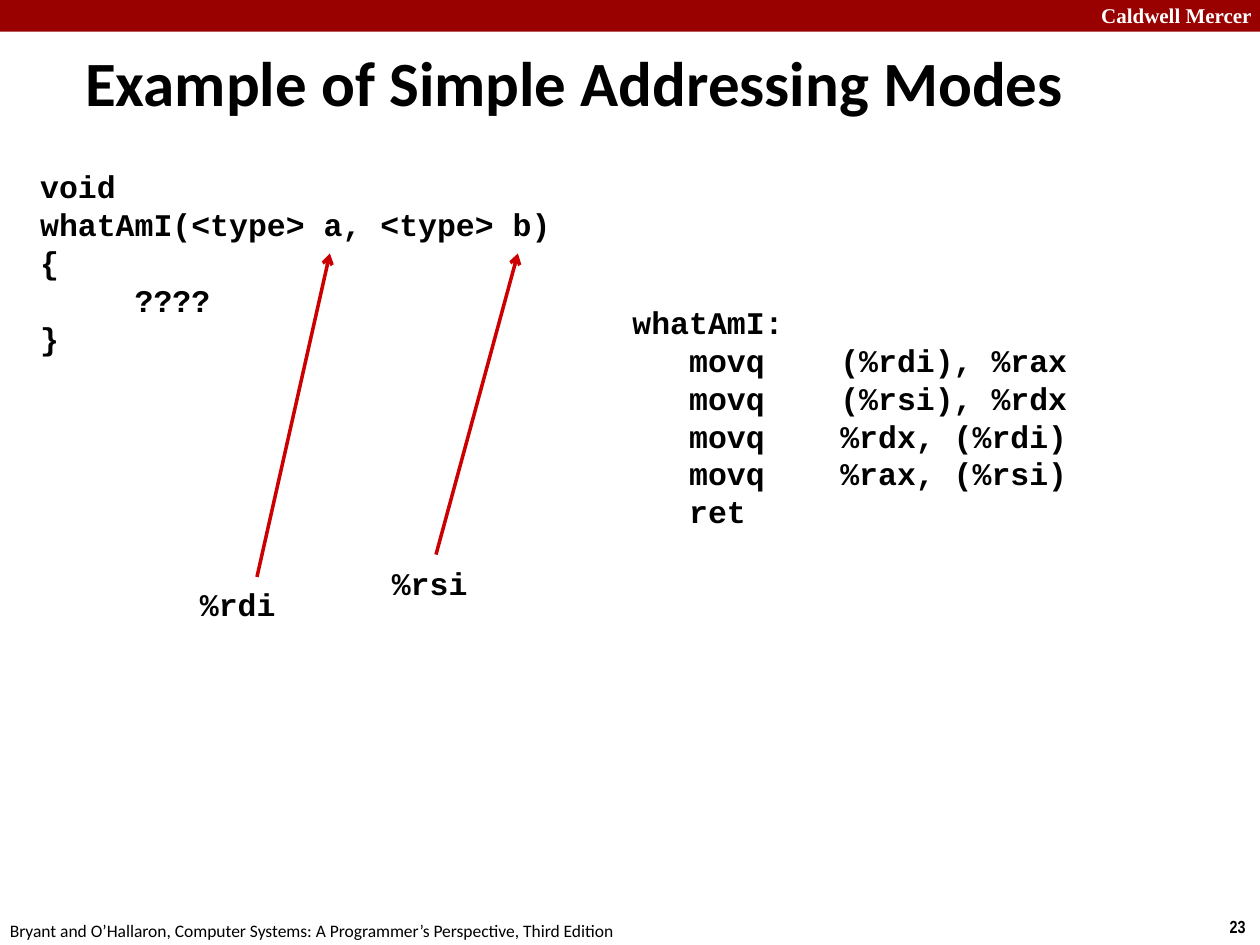
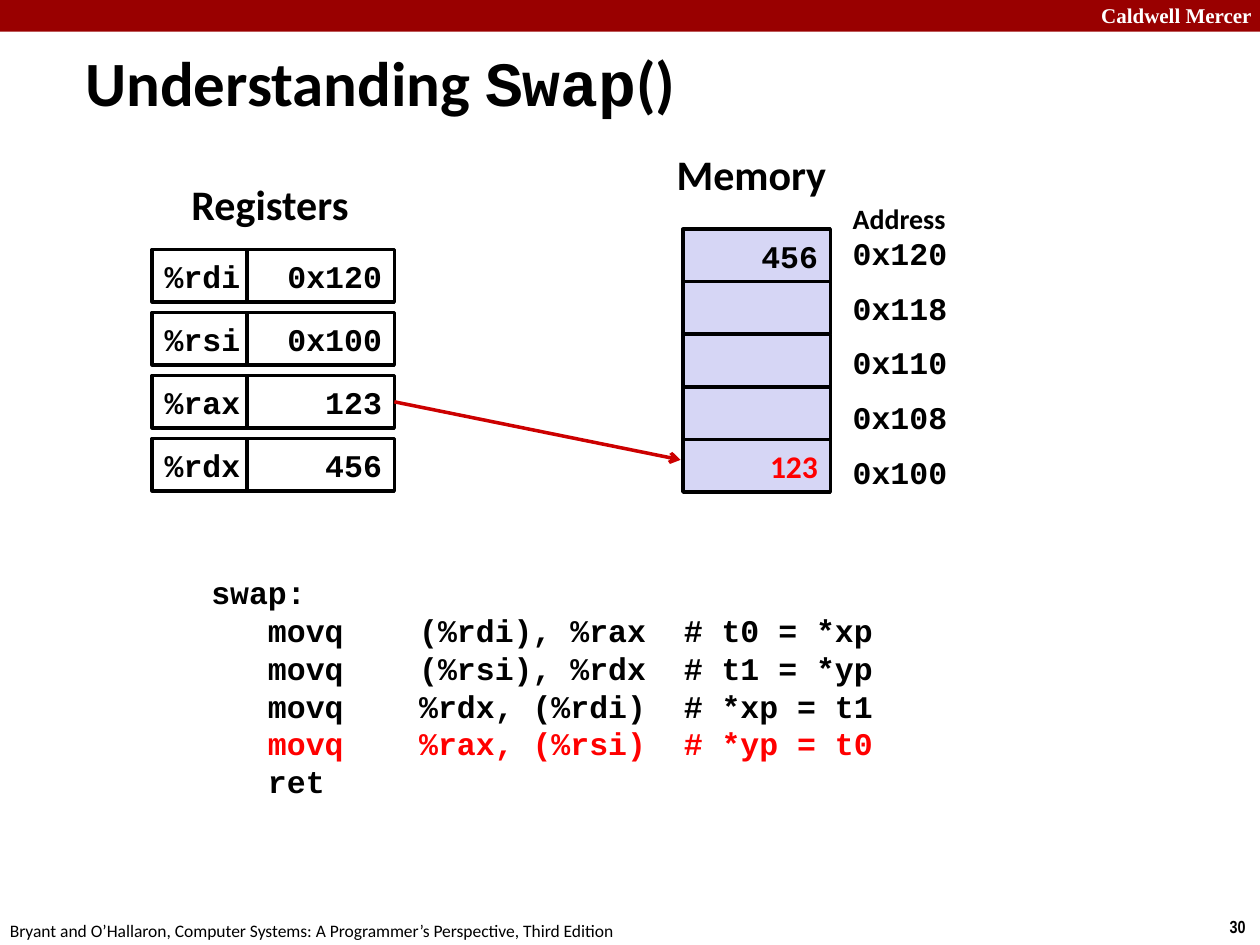
from lxml import etree
from pptx import Presentation
from pptx.dml.color import RGBColor
from pptx.enum.shapes import MSO_CONNECTOR, MSO_SHAPE
from pptx.enum.text import MSO_ANCHOR, PP_ALIGN
from pptx.oxml.ns import qn
from pptx.util import Cm, Pt


class Theme:
    black, white = RGBColor(0, 0, 0), RGBColor(255, 255, 255)
    band = RGBColor(0x99, 0, 0)
    arrow = RGBColor(0xCC, 0, 0)
    red = RGBColor(0xFF, 0, 0)
    memory = RGBColor(0xD6, 0xD6, 0xF5)
    line = Pt(2)
    char = 0.381  # width in cm of one 18 pt code character

    code = {"name": "Courier New", "size": Pt(18), "bold": True, "color": black}
    body = {**code, "name": "Calibri"}
    title = {**body, "size": Pt(36)}
    heading = {**body, "size": Pt(24)}
    label = {**body, "size": Pt(16)}
    school = {"name": "Times New Roman", "size": Pt(12), "bold": True, "color": white}
    number = {"name": "Arial Narrow", "size": Pt(10), "bold": True, "color": black}
    footer = {"name": "Calibri", "size": Pt(10), "bold": False, "color": black}


# Content (all lengths in cm)
SCHOOL = "Caldwell Mercer"
FOOTER = ("Bryant and O’Hallaron, Computer Systems: "
          "A Programmer’s Perspective, Third Edition")

SIGNATURE = ["void", "whatAmI(<type> a, <type> b)", "{", "\t????", "}"]
MOVES = ["(%rdi), %rax", "(%rsi), %rdx", "%rdx, (%rdi)", "%rax, (%rsi)"]
COMMENTS = ["# t0 = *xp", "# t1 = *yp", "# *xp = t1", "# *yp = t0"]
ARGUMENTS = [  # register, label position, arrow start, arrow end
    ("%rdi", (3.78, 11.66), (5.18, 11.63), (6.65, 5.11)),
    ("%rsi", (7.65, 11.25), (8.79, 11.18), (10.44, 5.11)),
]

REGISTERS = [("%rdi", "0x120"), ("%rsi", "0x100"), ("%rax", "123"), ("%rdx", "456")]
MEMORY = [
    ("0x120", "456", Theme.code),
    ("0x118", "", Theme.code),
    ("0x110", "", Theme.code),
    ("0x108", "", Theme.code),
    ("0x100", "123", {**Theme.body, "color": Theme.red}),
]
HEADINGS = [
    ("Registers", (3.61, 3.48, 3.76, 1.27), Theme.heading),
    ("Memory", (13.39, 2.87, 3.56, 1.27), Theme.heading),
    ("Address", (16.94, 3.94, 3.38, 0.94), Theme.label),
]
CELL_W, CELL_H = 2.97, 1.06
REG_X, REG_Y, REG_W, REG_STEP = 3.07, 5.03, 1.91, 1.27
MEM_X, MEM_Y = 13.77, 4.62
ADDR_X, ADDR_Y, ADDR_STEP = 16.94, 4.6, 1.1


# Text helpers
def add_run(p, text, fmt):
    r = p.add_run()
    r.text = text
    for key, value in fmt.items():
        if key == "color":
            r.font.color.rgb = value
        else:
            setattr(r.font, key, value)


def set_tabs(p, columns):
    tabs = etree.SubElement(p._p.get_or_add_pPr(), qn("a:tabLst"))
    for column in columns:
        etree.SubElement(tabs, qn("a:tab"), pos=str(Cm(column * Theme.char)), algn="l")


def add_text(slide, box, lines, wrap=True, anchor=MSO_ANCHOR.TOP, tabs=()):
    """Each line is a list of (text, format) runs."""
    sp = slide.shapes.add_textbox(*map(Cm, box))
    tf = sp.text_frame
    tf.word_wrap, tf.vertical_anchor = wrap, anchor
    for i, runs in enumerate(lines):
        p = tf.paragraphs[0] if i == 0 else tf.add_paragraph()
        if tabs:
            set_tabs(p, tabs)
        for text, fmt in runs:
            add_run(p, text, fmt)


# Drawing helpers
def add_rect(slide, box, fill, outline=True):
    sp = slide.shapes.add_shape(MSO_SHAPE.RECTANGLE, *map(Cm, box))
    sp.shadow.inherit = False
    sp.fill.solid()
    sp.fill.fore_color.rgb = fill
    if outline:
        sp.line.color.rgb, sp.line.width = Theme.black, Theme.line
    else:
        sp.line.fill.background()
    return sp


def add_cell(slide, box, text, fill, fmt=Theme.code, align=PP_ALIGN.RIGHT):
    sp = add_rect(slide, box, fill)
    if text:
        tf = sp.text_frame
        tf.word_wrap, tf.vertical_anchor = False, MSO_ANCHOR.MIDDLE
        tf.paragraphs[0].alignment = align
        add_run(tf.paragraphs[0], text, fmt)


def add_arrow(slide, start, end):
    sp = slide.shapes.add_connector(MSO_CONNECTOR.STRAIGHT, *map(Cm, start + end))
    sp.line.color.rgb, sp.line.width = Theme.arrow, Theme.line
    etree.SubElement(sp.line._get_or_add_ln(), qn("a:tailEnd"), type="arrow")
    etree.SubElement(sp._element.spPr, qn("a:effectLst"))


def add_assembly(slide, box, name, comments=None, marked=None):
    lines = [[(name + ":", Theme.code)]]
    for i, move in enumerate(MOVES):
        parts = ["", "movq", move] + ([comments[i]] if comments else [])
        color = Theme.red if i == marked else Theme.black
        lines.append([("\t".join(parts), {**Theme.code, "color": color})])
    lines.append([("\tret", Theme.code)])
    add_text(slide, box, lines, tabs=(3, 11, 25))


# Shared frame: band, school, number, footer, title
def new_slide(number, title, title_w):
    slide = prs.slides.add_slide(prs.slide_layouts[6])
    add_rect(slide, (0, 0, 25.4, 0.64), Theme.band, outline=False)
    for text, box, fmt in [
        (SCHOOL, (21.95, -0.08, 3.63, 0.76), Theme.school),
        (str(number), (24.54, 18.34, 0.86, 0.69), Theme.number),
        (FOOTER, (-0.05, 18.42, 12.9, 0.69), Theme.footer),
    ]:
        add_text(slide, box, [[(text, fmt)]], wrap=False)
    add_text(slide, (1.47, 0.84, title_w, 1.6), [title], anchor=MSO_ANCHOR.MIDDLE)
    return slide


prs = Presentation()
prs.slide_width, prs.slide_height = Cm(25.4), Cm(19.05)

# Slide 1: simple addressing modes
s = new_slide(23, [("Example of Simple Addressing Modes", Theme.title)], 21.29)
add_assembly(s, (12.5, 5.99, 11.63, 4.88), "whatAmI")
add_text(s, (0.56, 3.25, 11.28, 4.11),
         [[(line, Theme.code)] for line in SIGNATURE], tabs=(5,))
for register, position, start, end in ARGUMENTS:
    add_arrow(s, start, end)
    add_text(s, position + (3.33, 1.02), [[(register, Theme.code)]])

# Slide 2: registers and memory during swap
s = new_slide(30, [("Understanding ", Theme.title),
                   ("Swap", {**Theme.title, "name": "Courier New"}),
                   ("()", Theme.title)], 17.7)
for i, (address, value, fmt) in enumerate(MEMORY):
    add_cell(s, (MEM_X, MEM_Y + i * CELL_H, CELL_W, CELL_H), value, Theme.memory, fmt)
    add_text(s, (ADDR_X, ADDR_Y + i * ADDR_STEP, 3.38, 1.02), [[(address, Theme.code)]])
for i, (register, value) in enumerate(REGISTERS):
    y = REG_Y + i * REG_STEP
    add_cell(s, (REG_X, y, REG_W, CELL_H), register, Theme.white, align=PP_ALIGN.LEFT)
    add_cell(s, (REG_X + REG_W, y, CELL_W, CELL_H), value, Theme.white)
for text, box, fmt in HEADINGS:
    add_text(s, box, [[(text, fmt)]], wrap=False)
add_arrow(s, (7.95, 8.1), (13.72, 9.27))
add_assembly(s, (4.01, 11.43, 16.31, 4.88), "swap", COMMENTS, marked=3)

prs.save("out.pptx")
